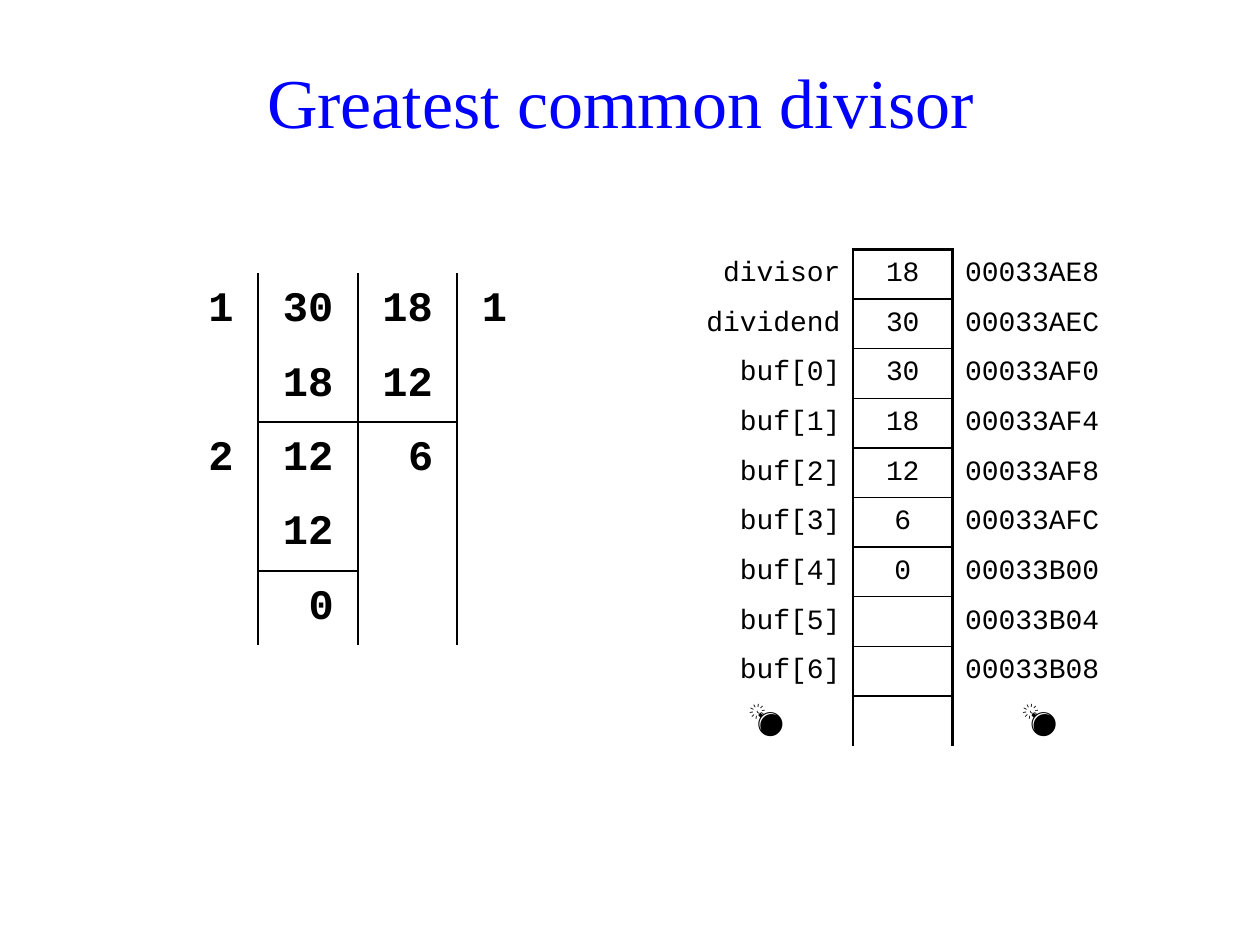
from dataclasses import dataclass
from typing import Optional

from lxml.etree import SubElement
from pptx import Presentation
from pptx.dml.color import RGBColor
from pptx.enum.text import MSO_ANCHOR as Anchor, PP_ALIGN as Align
from pptx.oxml.ns import qn
from pptx.util import Inches, Pt


@dataclass(frozen=True)
class Theme:
    ink: str = "000000"
    heading: str = "0000FF"
    serif: str = "Times New Roman"
    mono: str = "Courier New"
    title_size: int = 40
    division_size: int = 24
    memory_size: int = 16
    bomb_size: int = 20
    thick: float = 1.5
    thin: float = 1


@dataclass(frozen=True)
class Entry:
    text: str
    size: int
    align: Align = Align.CENTER
    bold: bool = False
    side_inset: float = 0.1
    end_inset: float = 0.02


@dataclass(frozen=True)
class Grid:
    left: float
    top: float
    height: float
    widths: list[float]
    rows: list[list[Entry]]
    verticals: set[int]  # ruled column edges
    horizontals: dict[tuple[int, int], float]  # (row edge, column): line width


THEME = Theme()


def set_attributes(target: object, values: dict) -> None:
    for name, value in values.items():
        setattr(target, name, value)


def write(para, text: str, align: Align, font: str, size: int,
          color: str, bold: bool = False) -> None:
    para.alignment = align
    span = para.add_run()
    span.text = text
    set_attributes(span.font, {"name": font, "size": Pt(size), "bold": bold})
    span.font.color.rgb = RGBColor.from_string(color)


def set_borders(cell, widths: dict[str, Optional[float]]) -> None:
    """Rule the cell edges; an edge without a width stays invisible."""
    properties = cell._tc.get_or_add_tcPr()
    for position, (side, width) in enumerate(widths.items()):
        line = SubElement(properties, qn(f"a:ln{side}"))
        properties.insert(position, line)
        if width is None:
            SubElement(line, qn("a:noFill"))
            continue
        line.set("w", str(Pt(width)))
        fill = SubElement(line, qn("a:solidFill"))
        SubElement(fill, qn("a:srgbClr")).set("val", THEME.ink)


def draw_title(page, text: str) -> None:
    box = page.shapes.add_textbox(
        Inches(0.27), Inches(0.21), Inches(9.45), Inches(1.18))
    frame = box.text_frame
    set_attributes(frame, {"word_wrap": True, "vertical_anchor": Anchor.MIDDLE})
    write(frame.paragraphs[0], text, Align.CENTER,
          THEME.serif, THEME.title_size, THEME.heading)


def draw_grid(page, grid: Grid) -> None:
    table = page.shapes.add_table(
        len(grid.rows), len(grid.widths), Inches(grid.left), Inches(grid.top),
        Inches(sum(grid.widths)), Inches(grid.height)).table
    set_attributes(table, {"first_row": False, "horz_banding": False})
    for column, width in zip(table.columns, grid.widths):
        column.width = Inches(width)
    for row, entries in enumerate(grid.rows):
        table.rows[row].height = Inches(grid.height / len(grid.rows))
        for col, entry in enumerate(entries):
            cell = table.cell(row, col)
            side, end = Inches(entry.side_inset), Inches(entry.end_inset)
            set_attributes(cell, {
                "margin_left": Inches(0.1), "margin_right": side,
                "margin_top": end, "margin_bottom": end,
                "vertical_anchor": Anchor.MIDDLE})
            cell.fill.background()
            set_borders(cell, {
                "L": THEME.thick if col in grid.verticals else None,
                "R": THEME.thick if col + 1 in grid.verticals else None,
                "T": grid.horizontals.get((row, col)),
                "B": grid.horizontals.get((row + 1, col))})
            if entry.text:
                write(cell.text_frame.paragraphs[0], entry.text, entry.align,
                      THEME.mono, entry.size, THEME.ink, entry.bold)


def memory_grid() -> Grid:
    names = ["divisor", "dividend"] + [f"buf[{index}]" for index in range(7)]
    values = ["18", "30", "30", "18", "12", "6", "0", "", ""]
    first_address = 0x33AE8
    size = THEME.memory_size
    rows = [
        [Entry(name, size, Align.RIGHT), Entry(value, size),
         Entry(f"{first_address + 4 * index:08X}", size, Align.LEFT)]
        for index, (name, value) in enumerate(zip(names, values))]
    bomb = Entry("💣", THEME.bomb_size, bold=True, end_inset=0)
    rows.append([bomb, Entry("", size), bomb])
    edges = {(edge, 1): THEME.thin for edge in range(1, len(rows))}
    return Grid(5.39, 1.98, 3.94, [1.38, 0.79, 1.38], rows,
                {1, 2}, {(0, 1): THEME.thick, **edges})


def division_grid() -> Grid:
    steps = [
        ["1", "30", "18", "1"],
        ["", "18", "12", ""],
        ["2", "12", "6", ""],
        ["", "12", "", ""],
        ["", "0", "", ""]]

    def entry(text: str, col: int) -> Entry:
        # Single digits in the number columns line up with the units
        if col in (1, 2) and len(text) == 1:
            return Entry(text, THEME.division_size, Align.RIGHT, True, 0.19)
        return Entry(text, THEME.division_size, bold=True)

    rows = [[entry(text, col) for col, text in enumerate(step)] for step in steps]
    underlines = {edge: THEME.thick for edge in [(2, 1), (2, 2), (4, 1)]}
    return Grid(1.46, 2.17, 2.95, [0.59, 0.79, 0.79, 0.59], rows,
                {1, 2, 3}, underlines)


def main() -> None:
    deck = Presentation()
    set_attributes(deck, {"slide_width": Inches(10), "slide_height": Inches(7.5)})
    page = deck.slides.add_slide(deck.slide_layouts[6])
    draw_title(page, "Greatest common divisor ")
    # Memory layout, then the division steps
    draw_grid(page, memory_grid())
    draw_grid(page, division_grid())
    deck.save("out.pptx")


if __name__ == "__main__":
    main()
